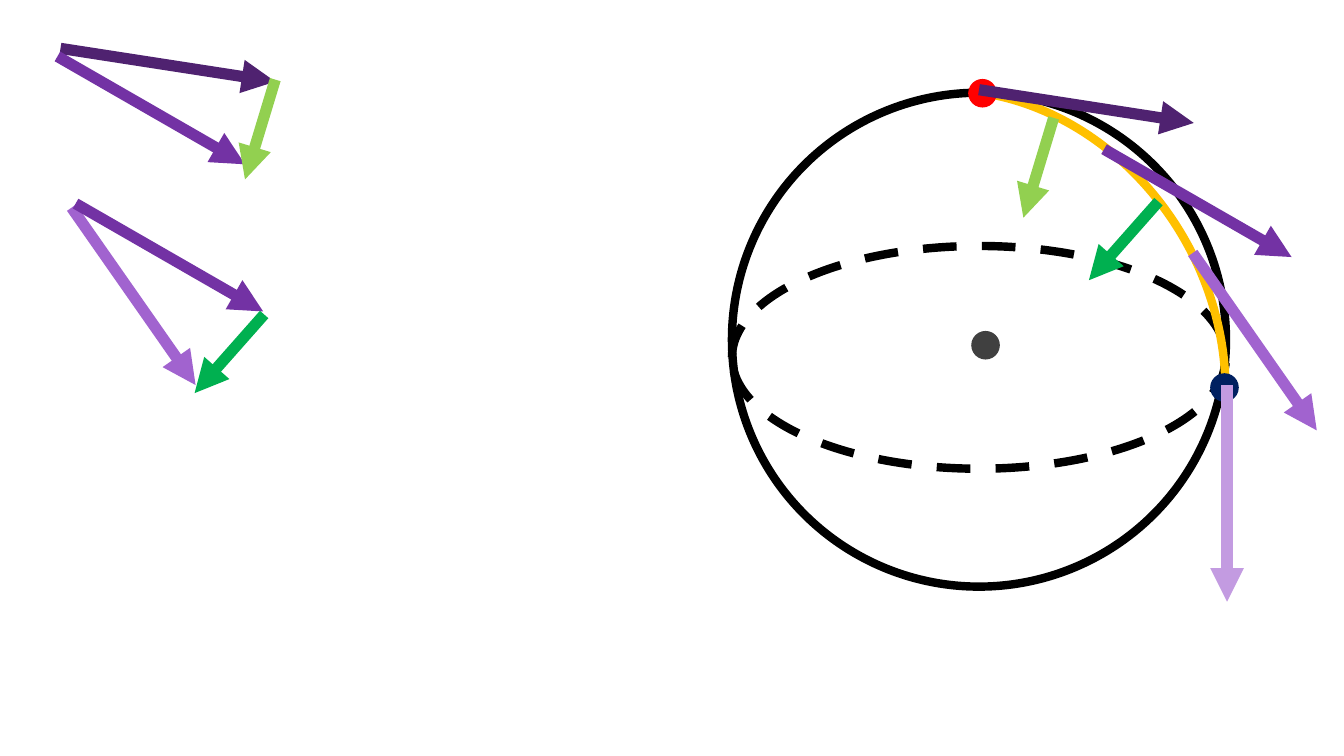
from dataclasses import dataclass

from lxml import etree
from pptx import Presentation
from pptx import util as u
from pptx.dml.color import RGBColor
from pptx.dml.line import LineFormat
from pptx.enum import dml, shapes
from pptx.oxml.ns import qn
from pptx.shapes.autoshape import Shape
from pptx.shapes.shapetree import GroupShapes, SlideShapes

PX = 9144  # EMU in one px, 100 px to the inch
DOT_SIZE = 27

BLACK = RGBColor(0x00, 0x00, 0x00)
GOLD = RGBColor(0xFF, 0xC0, 0x00)
RED = RGBColor(0xFF, 0x00, 0x00)
NAVY = RGBColor(0x00, 0x20, 0x60)
GREY = RGBColor(0x40, 0x40, 0x40)
DARK_PURPLE = RGBColor(0x4F, 0x22, 0x70)
PURPLE = RGBColor(0x73, 0x32, 0xA4)
LIGHT_PURPLE = RGBColor(0xA1, 0x63, 0xCF)
PALE_PURPLE = RGBColor(0xC3, 0x9B, 0xE1)
LIME = RGBColor(0x92, 0xD0, 0x50)
GREEN = RGBColor(0x00, 0xB0, 0x50)

ShapeTree = SlideShapes | GroupShapes


@dataclass(frozen=True)
class Vector:
    """A direction and length that can be drawn from any starting point."""
    dx: int
    dy: int
    color: RGBColor


@dataclass(frozen=True)
class Arrow:
    vector: Vector
    x: int
    y: int


@dataclass(frozen=True)
class Dot:
    left: int
    top: int
    color: RGBColor


VELOCITY_1 = Vector(213, 33, DARK_PURPLE)
VELOCITY_2 = Vector(186, 107, PURPLE)
VELOCITY_3 = Vector(123, 176, LIGHT_PURPLE)
VELOCITY_4 = Vector(0, 215, PALE_PURPLE)
CHANGE_1 = Vector(-30, 99, LIME)
CHANGE_2 = Vector(-69, 78, GREEN)

PATH_ENDS = [Dot(961, 79, RED), Dot(1201, 371, NAVY)]
SPHERE_CENTRE = Dot(964, 329, GREY)
GLOBE_ARROWS = [Arrow(VELOCITY_1, 971, 89), Arrow(VELOCITY_2, 1095, 148)]
VELOCITY_ARROWS = [
    Arrow(VELOCITY_1, 60, 48),
    Arrow(VELOCITY_2, 57, 56),
    Arrow(VELOCITY_3, 71, 206),
    Arrow(VELOCITY_2, 75, 202),
    Arrow(VELOCITY_4, 1217, 382),
    Arrow(VELOCITY_3, 1183, 251),
]
CHANGE_ARROWS = [
    Arrow(CHANGE_1, 273, 79),
    Arrow(CHANGE_1, 1045, 117),
    Arrow(CHANGE_2, 262, 312),
    Arrow(CHANGE_2, 1149, 200),
]


def set_line(line: LineFormat, color: RGBColor, points: int) -> None:
    line.color.rgb = color
    line.width = u.Pt(points)


def add_outline(tree: ShapeTree, kind: shapes.MSO_SHAPE, left: int, top: int,
                width: int, height: int, color: RGBColor) -> Shape:
    shape = tree.add_shape(kind, left * PX, top * PX, width * PX, height * PX)
    shape.shadow.inherit = False
    shape.fill.background()
    set_line(shape.line, color, 6)
    return shape


def add_dot(tree: ShapeTree, dot: Dot) -> None:
    shape = tree.add_shape(shapes.MSO_SHAPE.OVAL, dot.left * PX, dot.top * PX,
                           DOT_SIZE * PX, DOT_SIZE * PX)
    shape.shadow.inherit = False
    shape.fill.solid()
    shape.fill.fore_color.rgb = dot.color
    set_line(shape.line, dot.color, 1)


def add_arrow(tree: ShapeTree, arrow: Arrow) -> None:
    vector = arrow.vector
    connector = tree.add_connector(
        shapes.MSO_CONNECTOR.STRAIGHT, arrow.x * PX, arrow.y * PX,
        (arrow.x + vector.dx) * PX, (arrow.y + vector.dy) * PX)
    set_line(connector.line, vector.color, 8)
    properties = connector._element.spPr
    etree.SubElement(properties.find(qn("a:ln")), qn("a:tailEnd"), type="triangle")
    etree.SubElement(properties, qn("a:effectLst"))


def add_globe(tree: ShapeTree) -> None:
    """Draw the sphere, its equator and the curved path between two dots."""
    equator = add_outline(tree, shapes.MSO_SHAPE.OVAL, 726, 244, 490, 221, BLACK)
    equator.line.dash_style = dml.MSO_LINE.DASH
    add_outline(tree, shapes.MSO_SHAPE.OVAL, 726, 92, 490, 490, BLACK)
    curve = add_outline(tree, shapes.MSO_SHAPE.ARC, 739, 80, 466, 544, GOLD)
    curve.rotation = 329.6
    curve.adjustments[0] = 180.7
    curve.adjustments[1] = 23.32
    for dot in PATH_ENDS:
        add_dot(tree, dot)
    for arrow in GLOBE_ARROWS:
        add_arrow(tree, arrow)


def main() -> None:
    presentation = Presentation()
    presentation.slide_width = 1333 * PX
    presentation.slide_height = 750 * PX
    slide = presentation.slides.add_slide(presentation.slide_layouts[6])

    add_globe(slide.shapes.add_group_shape().shapes)
    for arrow in VELOCITY_ARROWS:
        add_arrow(slide.shapes, arrow)
    add_dot(slide.shapes, SPHERE_CENTRE)
    for arrow in CHANGE_ARROWS:
        add_arrow(slide.shapes, arrow)

    presentation.save("out.pptx")


if __name__ == "__main__":
    main()
